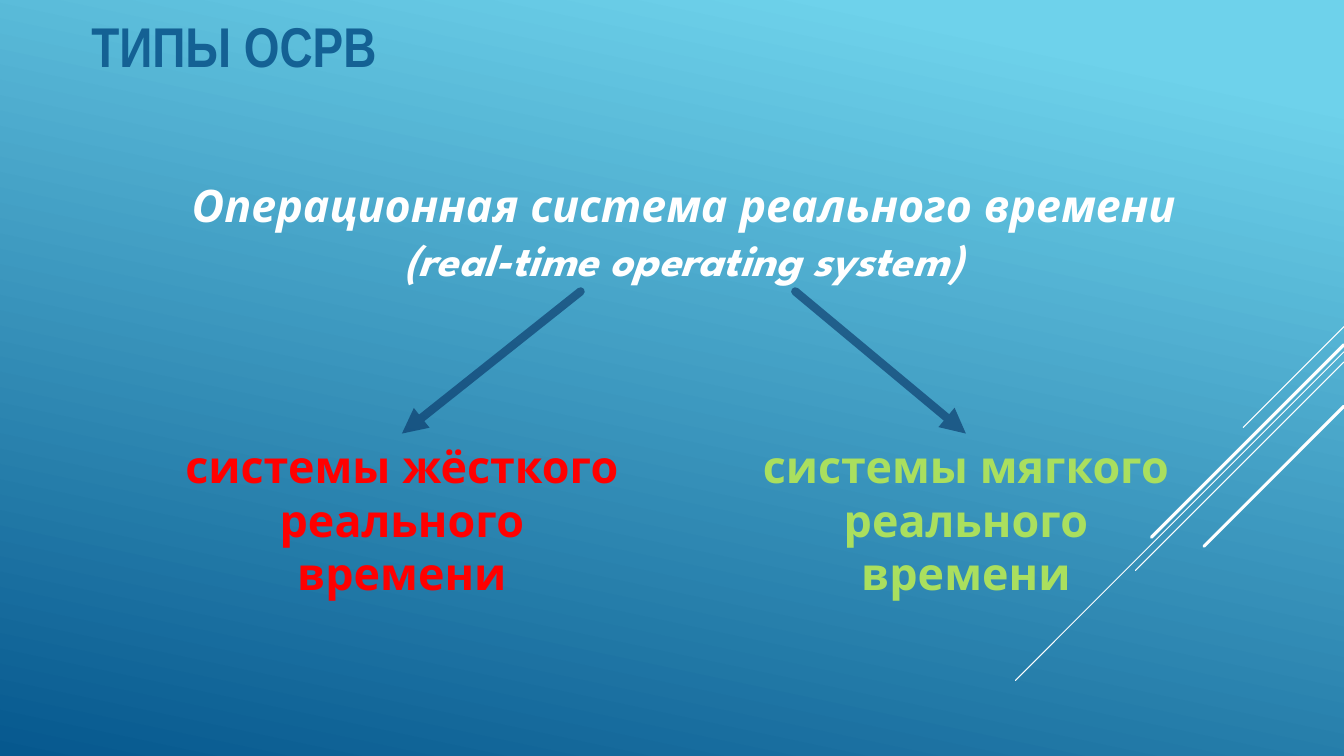
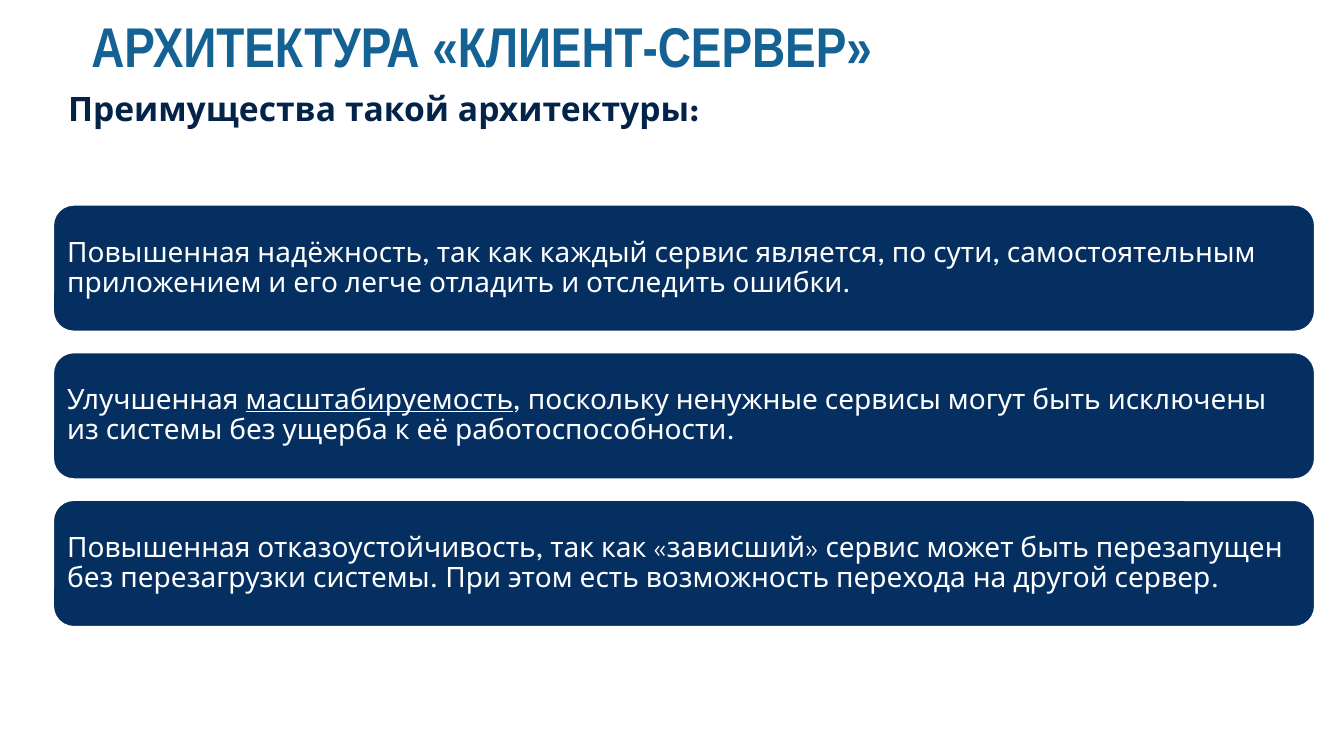
import pptx
import pptx.util
import pptx.dml.color
import pptx.enum.shapes
import pptx.enum.text
import pptx.oxml
import pptx.oxml.ns

Pt = pptx.util.Pt
ALIGN = pptx.enum.text.PP_ALIGN
ANCHOR = pptx.enum.text.MSO_ANCHOR
SLIDE_W, SLIDE_H = 960, 540
TITLE_ONLY = 5
TITLE_BOX = (58, 9.4, 860.4, 50.4)
TITLE_FONT, BODY_FONT = "Arial Narrow", "League Spartan"
COLORS = {
    "white": "FFFFFF",
    "navy": "052F61",
    "title": "146194",
    "subtitle": "042349",
    "hard": "FF0000",
    "soft": "AADF5E",
    "sky": "6ED2EB",
    "deep": "06588E",
}
# Start height on the right edge, run to the lower left, line width
STRIPES = [
    (233.3, 72, 0.75),
    (251.3, 234.7, 0.75),
    (258.5, 149, 0.75),
    (246.2, 137.5, 2.25),
    (290.2, 100, 2.25),
]


def rgb(name):
    return pptx.dml.color.RGBColor.from_string(COLORS[name])


def append_xml(parent, tag, attributes=""):
    """Append an empty DrawingML element."""
    parent.append(pptx.oxml.parse_xml(
        f'<a:{tag} {pptx.oxml.ns.nsdecls("a")} {attributes}/>'))


def write(frame, paragraphs, size, color, font=BODY_FONT, bold=False, italic=False,
          align=ALIGN.LEFT, anchor=ANCHOR.TOP, spacing=None, inset=None):
    """Fill a text frame; a paragraph is a string or a list of (text, underlined)."""
    frame.word_wrap = True
    frame.auto_size = pptx.enum.text.MSO_AUTO_SIZE.NONE
    frame.vertical_anchor = anchor
    if inset is not None:
        frame.margin_left = frame.margin_right = Pt(inset)
        frame.margin_top = frame.margin_bottom = Pt(inset)
    for index, content in enumerate(paragraphs):
        paragraph = frame.add_paragraph() if index else frame.paragraphs[0]
        paragraph.alignment = align
        paragraph.line_spacing = spacing
        pieces = [(content, False)] if isinstance(content, str) else content
        for text, underlined in pieces:
            run = paragraph.add_run()
            run.text = text
            run.font.name, run.font.size = font, Pt(size)
            run.font.bold, run.font.italic = bold, italic
            run.font.underline = underlined
            run.font.color.rgb = rgb(color)


def add_text(slide, box, paragraphs, **text_format):
    label = slide.shapes.add_textbox(*map(Pt, box))
    write(label.text_frame, paragraphs, **text_format)


def add_line(slide, start, end, color, width, opacity=None, arrow=False):
    line = slide.shapes.add_connector(
        pptx.enum.shapes.MSO_CONNECTOR.STRAIGHT, *map(Pt, (*start, *end)))
    line.line.color.rgb = rgb(color)
    line.line.width = Pt(width)
    stroke = line._element.spPr.find(pptx.oxml.ns.qn("a:ln"))
    stroke.set("cap", "rnd")
    if opacity is not None:
        tint = stroke.find(".//" + pptx.oxml.ns.qn("a:srgbClr"))
        append_xml(tint, "alpha", f'val="{opacity * 1000}"')
    if arrow:
        append_xml(stroke, "tailEnd", 'type="triangle"')
    append_xml(line._element.spPr, "effectLst")


def add_stripes(slide):
    for top, run, width in STRIPES:
        add_line(slide, (SLIDE_W, top), (SLIDE_W - run, top + run), "white", width)


def add_titled_slide(deck, title):
    slide = deck.slides.add_slide(deck.slide_layouts[TITLE_ONLY])
    add_stripes(slide)
    heading = slide.shapes.title
    heading.left, heading.top, heading.width, heading.height = map(Pt, TITLE_BOX)
    write(heading.text_frame, [title], size=40, color="title", font=TITLE_FONT,
          bold=True, anchor=ANCHOR.BOTTOM)
    return slide


def paint_gradient(slide):
    fill = slide.background.fill
    fill.gradient()
    fill.gradient_angle = 258
    for stop, (position, color) in zip(fill.gradient_stops, [(0.1, "sky"), (1, "deep")]):
        stop.position = position
        stop.color.rgb = rgb(color)


def add_branches(slide, box, root, branches):
    """Root text on top; each branch is (text, colour, left, width, arrow start x)."""
    left, top, width, height = box
    root_height, branch_height = 84.7, 124
    branch_top = top + height - branch_height
    add_text(slide, (left, top, width, root_height), root, size=32, color="white",
             bold=True, italic=True, align=ALIGN.CENTER)
    for text, color, offset, branch_width, arrow_x in branches:
        branch_left = left + offset
        add_line(slide, (left + arrow_x, top + root_height),
                 (branch_left + branch_width / 2, branch_top),
                 "navy", 6, opacity=60, arrow=True)
        add_text(slide, (branch_left, branch_top, branch_width, branch_height), [text],
                 size=32, color=color, bold=True, align=ALIGN.CENTER)


def add_cards(slide, box, cards, gap=14):
    left, top, width, height = box
    card_height = (height - gap * (len(cards) - 1)) / len(cards)
    for index, content in enumerate(cards):
        card_top = top + index * (card_height + gap)
        card = slide.shapes.add_shape(
            pptx.enum.shapes.MSO_SHAPE.ROUNDED_RECTANGLE,
            *map(Pt, (left, card_top, width, card_height)))
        card.shadow.inherit = False
        card.fill.solid()
        card.fill.fore_color.rgb = rgb("navy")
        card.line.color.rgb = rgb("white")
        card.line.width = Pt(2.25)
        write(card.text_frame, [content], size=20, color="white",
              anchor=ANCHOR.MIDDLE, spacing=0.9, inset=6)


def build_types(deck):
    slide = add_titled_slide(deck, "ТИПЫ ОСРВ")
    paint_gradient(slide)
    add_branches(
        slide, (112.3, 123.5, 752.4, 310.2),
        ["Операционная система реального времени", "(real-time operating system)"],
        [("системы жёсткого реального времени", "hard", 9.2, 331.2, 302.4),
         ("системы мягкого реального времени", "soft", 422.5, 310.3, 455.8)])


def build_architecture(deck):
    slide = add_titled_slide(deck, "АРХИТЕКТУРА «КЛИЕНТ-СЕРВЕР»")
    slide.background.fill.solid()
    slide.background.fill.fore_color.rgb = rgb("white")
    add_cards(slide, (37.5, 145.8, 902.2, 302.4), [
        "Повышенная надёжность, так как каждый сервис является, по сути, самостоятельным "
        "приложением и его легче отладить и отследить ошибки.",
        [("Улучшенная ", False), ("масштабируемость", True),
         (", поскольку ненужные сервисы могут быть исключены из системы без ущерба "
          "к её работоспособности.", False)],
        "Повышенная отказоустойчивость, так как «зависший» сервис может быть перезапущен "
        "без перезагрузки системы. При этом есть возможность перехода на другой сервер.",
    ])
    add_text(slide, (41.5, 59.2, 877, 36), ["Преимущества такой архитектуры:"],
             size=24, color="subtitle", bold=True)


def main():
    deck = pptx.Presentation()
    deck.slide_width, deck.slide_height = Pt(SLIDE_W), Pt(SLIDE_H)
    build_types(deck)
    build_architecture(deck)
    deck.save("out.pptx")


if __name__ == "__main__":
    main()
